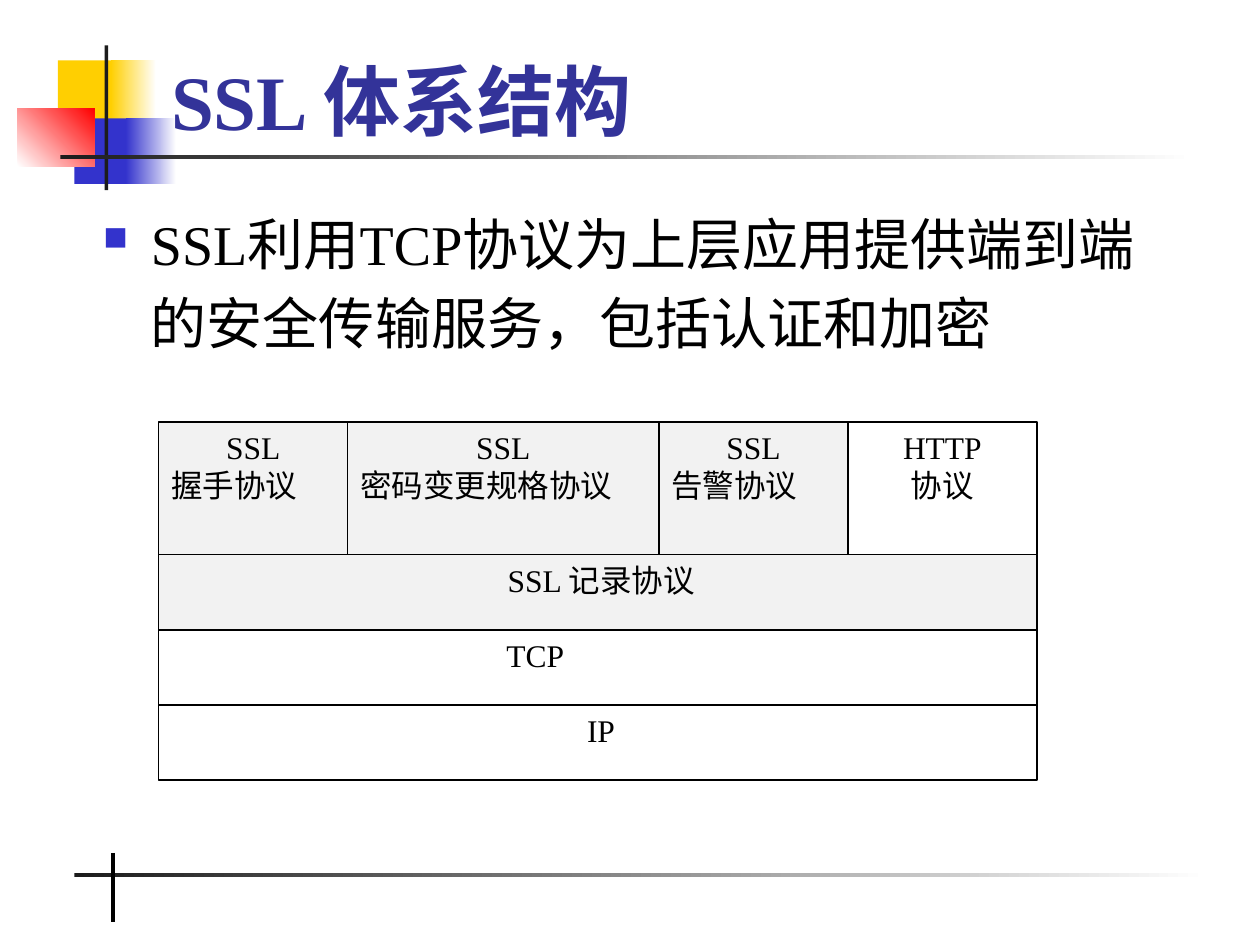
from lxml import etree
from pptx import Presentation
from pptx.dml.color import RGBColor
from pptx.enum import shapes, text
from pptx.oxml.ns import qn
from pptx.util import Inches, Pt

COLORS = {
    "yellow": "FFCF01", "blue": "3333CC", "red": "FF0000", "white": "FFFFFF",
    "dark": "1C1C1C", "black": "000000", "title": "333399", "gray": "F2F2F2",
}
FONT = "Times New Roman"
LEFT, CENTER = text.PP_ALIGN.LEFT, text.PP_ALIGN.CENTER

TITLE = "SSL 体系结构"
BODY = "SSL利用TCP协议为上层应用提供端到端的安全传输服务，包括认证和加密"

# Decoration: left, top, width, height, colours (two make a gradient), angle
DECORATION = [
    (0.46, 0.48, 0.48, 0.52, ["yellow"], 0),
    (0.88, 0.48, 0.36, 0.52, ["yellow", "white"], 0),
    (0.59, 0.94, 0.46, 0.52, ["blue"], 0),
    (1.00, 0.94, 0.40, 0.52, ["blue", "white"], 0),
    (0.14, 0.86, 0.61, 0.46, ["white", "red"], 45),
    (0.83, 0.36, 0.03, 1.15, ["dark"], 0),
    (0.48, 1.23, 9.00, 0.03, ["dark", "white"], 0),
    (0.59, 6.93, 9.00, 0.03, ["dark", "white"], 0),
]

# Protocol stack: rows of (top, height, cells);
# a cell is width, fill, lines with alignment, left and right inset
STACK_LEFT = 1.26
STACK = [
    (5.59, 0.6, [(6.97, None, [("IP", CENTER)], 0.15, 0.1)]),
    (5.00, 0.6, [(6.97, None, [("TCP", CENTER)], 0.1, 1.09)]),
    (4.40, 0.6, [(6.97, "gray", [("SSL 记录协议", CENTER)], 0.15, 0.1)]),
    (3.35, 1.05, [
        (1.50, "gray", [("SSL", CENTER), ("握手协议", LEFT)], 0.1, 0.1),
        (2.47, "gray", [("SSL", CENTER), ("密码变更规格协议", LEFT)], 0.1, 0.1),
        (1.50, "gray", [("SSL", CENTER), ("告警协议", LEFT)], 0.1, 0.1),
        (1.50, None, [("HTTP", CENTER), ("协议", CENTER)], 0.1, 0.1),
    ]),
]


def rgb(name):
    return RGBColor.from_string(COLORS[name])


def style(font, size, color, bold=False):
    for key, value in {"name": FONT, "size": Pt(size), "bold": bold}.items():
        setattr(font, key, value)
    font.color.rgb = rgb(color)


def add_rect(slide, box, colors, angle=0):
    rect = slide.shapes.add_shape(shapes.MSO_SHAPE.RECTANGLE, *map(Inches, box))
    rect.shadow.inherit = False
    rect.line.fill.background()
    if not colors:
        rect.fill.background()
    elif len(colors) == 1:
        rect.fill.solid()
        rect.fill.fore_color.rgb = rgb(colors[0])
    else:
        rect.fill.gradient()
        rect.fill.gradient_angle = angle
        for stop, color, position in zip(rect.fill.gradient_stops, colors, (0, 1)):
            stop.color.rgb = rgb(color)
            stop.position = position
    return rect


def add_text(slide, box, words, anchor):
    frame = slide.shapes.add_textbox(*map(Inches, box)).text_frame
    frame.word_wrap = True
    frame.vertical_anchor = anchor
    frame.text = words
    return frame.paragraphs[0]


def add_cell(slide, box, fill, lines, inset_left, inset_right):
    cell = add_rect(slide, box, [fill] if fill else [])
    cell.line.color.rgb = rgb("black")
    cell.line.width = Pt(0.75)
    frame = cell.text_frame
    settings = {
        "word_wrap": True, "vertical_anchor": text.MSO_ANCHOR.TOP,
        "margin_left": Inches(inset_left), "margin_right": Inches(inset_right),
    }
    for key, value in settings.items():
        setattr(frame, key, value)
    frame.text = "\n".join(words for words, _ in lines)
    for paragraph, (_, alignment) in zip(frame.paragraphs, lines):
        paragraph.alignment = alignment
        style(paragraph.font, 18, "black")


def add_bullet(paragraph):
    props = paragraph._p.get_or_add_pPr()
    props.set("marL", str(Inches(0.38)))
    props.set("indent", str(-Inches(0.38)))
    color = etree.SubElement(props, qn("a:buClr"))
    etree.SubElement(color, qn("a:srgbClr"), val=COLORS["blue"])
    etree.SubElement(props, qn("a:buSzPct"), val="60000")
    etree.SubElement(props, qn("a:buChar"), char="■")


def main():
    deck = Presentation()
    deck.slide_width, deck.slide_height = Inches(10), Inches(7.5)
    slide = deck.slides.add_slide(deck.slide_layouts[6])

    # Corner squares and rules
    for *box, colors, angle in DECORATION:
        add_rect(slide, box, colors, angle)
    footer_tick = slide.shapes.add_connector(
        shapes.MSO_CONNECTOR.STRAIGHT, *map(Inches, (0.9, 6.77, 0.9, 7.32)))
    footer_tick.line.color.rgb = rgb("black")
    footer_tick.line.width = Pt(2.25)
    etree.SubElement(footer_tick._element.spPr, qn("a:effectLst"))

    # Body and title
    body = add_text(slide, (0.72, 1.52, 8.5, 4.5), BODY, text.MSO_ANCHOR.TOP)
    add_bullet(body)
    body.line_spacing = Pt(45)
    style(body.font, 32, "black")
    title = add_text(slide, (1.26, 0.16, 8.52, 1.05), TITLE, text.MSO_ANCHOR.BOTTOM)
    style(title.font, 44, "title", bold=True)

    # Protocol stack
    for top, height, cells in STACK:
        left = STACK_LEFT
        for width, *content in cells:
            add_cell(slide, (left, top, width, height), *content)
            left += width

    deck.save("out.pptx")


if __name__ == "__main__":
    main()
